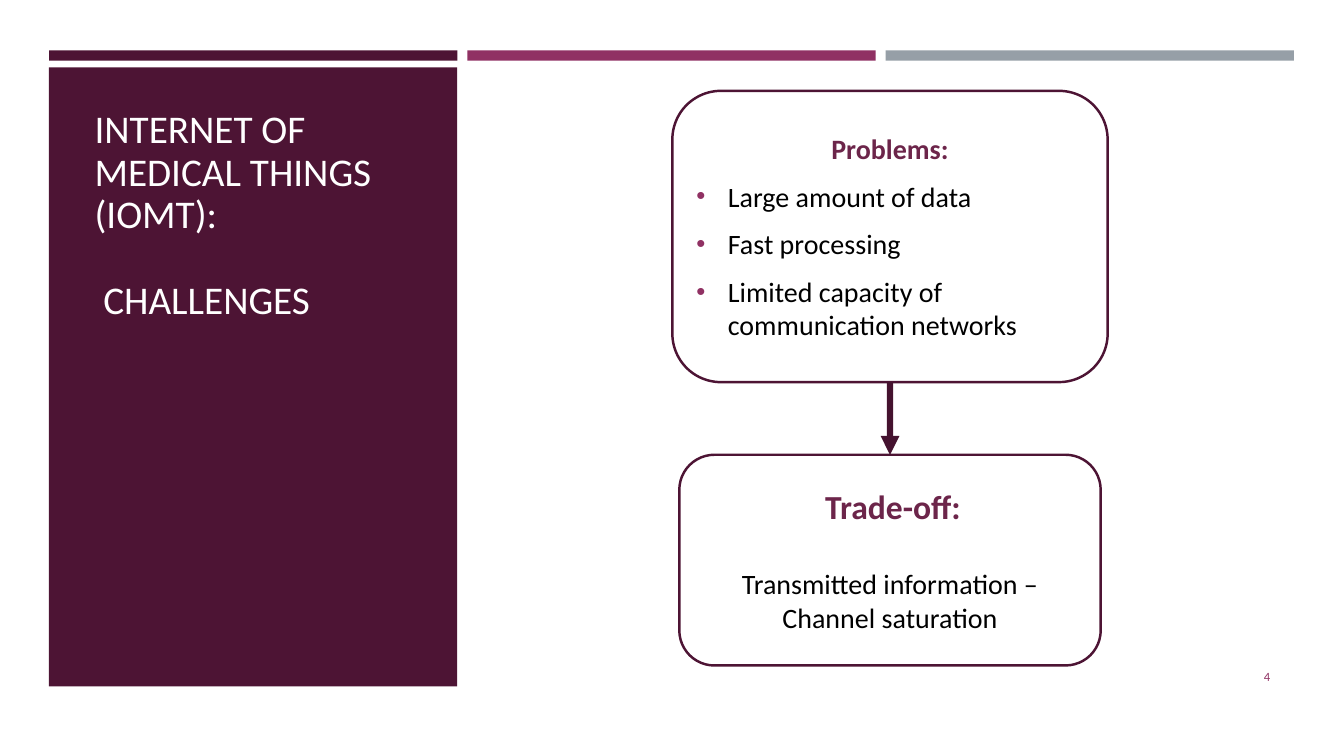
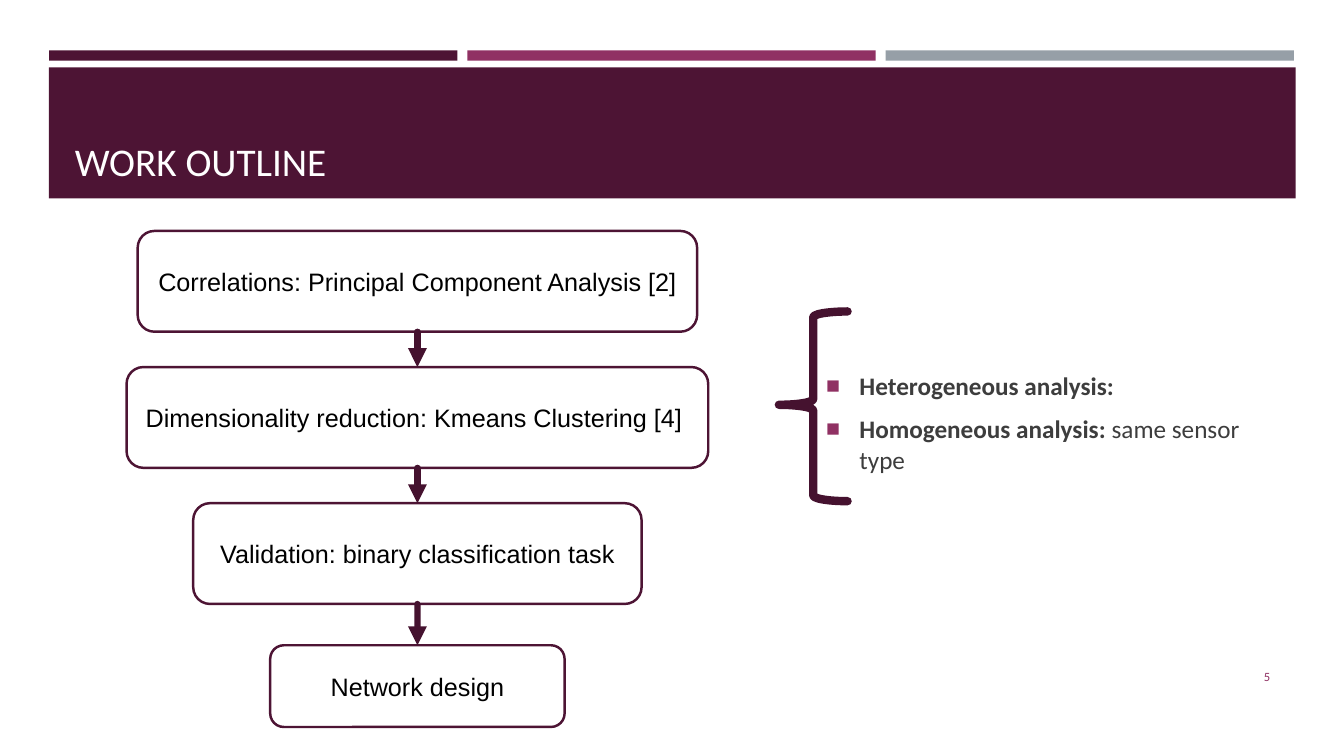
import pptx
import pptx.dml.color
import pptx.enum.shapes
import pptx.enum.text
import pptx.oxml.ns
import pptx.util
from lxml import etree

Cm = pptx.util.Cm
Pt = pptx.util.Pt
SHAPE = pptx.enum.shapes.MSO_SHAPE
ANCHOR = pptx.enum.text.MSO_ANCHOR
ALIGN = pptx.enum.text.PP_ALIGN
qn = pptx.oxml.ns.qn

PLUM, DARK_PLUM, HEADING = "4D1434", "45122F", "6C254A"
MAGENTA, GREY, CHARCOAL = "903163", "969FA7", "3D3D3D"
WHITE, BLACK = "FFFFFF", "000000"
TITLE_ONLY = 5


def rgb(hex_color):
    return pptx.dml.color.RGBColor.from_string(hex_color)


def set_all(target, values):
    for name, value in values.items():
        setattr(target, name, value)


def add_xml(parent, tag, **attributes):
    return etree.SubElement(parent, qn(tag), attributes)


class Deck:
    """Holds the shared style and the slide being drawn."""

    font = "Calibri"
    band_colors = (PLUM, MAGENTA, GREY)
    band_left, band_top, band_pitch = 1.24, 1.27, 10.54
    band_width, band_height = 10.29, 0.26
    panel_left, panel_top = 1.23, 1.7

    def __init__(self):
        self.presentation = pptx.Presentation()
        set_all(self.presentation, {"slide_width": Cm(33.87), "slide_height": Cm(19.05)})
        self.slide = None

    def new_slide(self, number, panel_size, title_lines, title_box):
        """Start a slide with bands, coloured panel, title and number."""
        layout = self.presentation.slide_layouts[TITLE_ONLY]
        self.slide = self.presentation.slides.add_slide(layout)
        for column, color in enumerate(self.band_colors):
            left = self.band_left + column * self.band_pitch
            self.block((left, self.band_top, self.band_width, self.band_height), color)
        self.block((self.panel_left, self.panel_top, *panel_size), PLUM)
        self.title(title_lines, title_box)
        self.text_box((29.34, 16.54, 2.92, 1.02),
                      [{"text": str(number), "align": ALIGN.RIGHT}],
                      ANCHOR.MIDDLE, size=9, color=MAGENTA)

    def title(self, lines, box):
        title = self.slide.shapes.title
        left, top, width, height = (Cm(length) for length in box)
        set_all(title, {"left": left, "top": top, "width": width, "height": height})
        # Bring the title in front of the panel
        title.element.getparent().append(title.element)
        self.fill_text(title.text_frame, lines, ANCHOR.BOTTOM, size=28, color=WHITE,
                       spacing=0.9)

    def block(self, box, fill, kind=SHAPE.RECTANGLE):
        block = self.slide.shapes.add_shape(kind, *(Cm(length) for length in box))
        block.shadow.inherit = False
        block.fill.solid()
        block.fill.fore_color.rgb = rgb(fill)
        block.line.fill.background()
        return block

    def outline(self, shape, color, width):
        shape.line.fill.solid()
        shape.line.fill.fore_color.rgb = rgb(color)
        shape.line.width = Pt(width)

    def card(self, center, top, width, height, paragraphs, **text_style):
        """Draw a rounded, outlined box centred on a vertical axis."""
        card = self.block((center - width / 2, top, width, height), WHITE,
                          SHAPE.ROUNDED_RECTANGLE)
        self.outline(card, PLUM, 1.75)
        self.fill_text(card.text_frame, paragraphs, ANCHOR.MIDDLE, **text_style)
        return card

    def arrow(self, upper, lower, cap="flat"):
        arrow = self.slide.shapes.add_connector(
            pptx.enum.shapes.MSO_CONNECTOR.STRAIGHT, 0, 0, 0, 0)
        arrow.begin_connect(upper, 2)
        arrow.end_connect(lower, 0)
        self.outline(arrow, DARK_PLUM, 4.5)
        properties = arrow.element.spPr
        line = properties.find(qn("a:ln"))
        line.set("cap", cap)
        add_xml(line, "a:tailEnd", type="triangle")
        add_xml(properties, "a:effectLst")

    def brace(self, box):
        brace = self.block(box, WHITE, SHAPE.LEFT_BRACE)
        brace.fill.background()
        brace.adjustments[0], brace.adjustments[1] = 0.083, 0.492
        self.outline(brace, DARK_PLUM, 6)
        brace.element.spPr.find(qn("a:ln")).set("cap", "rnd")

    def text_box(self, box, paragraphs, anchor, **text_style):
        holder = self.slide.shapes.add_textbox(*(Cm(length) for length in box))
        self.fill_text(holder.text_frame, paragraphs, anchor, **text_style)

    def bullet(self, properties, symbol, indent):
        properties.set("indent", str(-Cm(indent)))
        color = add_xml(properties, "a:buClr")
        add_xml(color, "a:srgbClr", val=MAGENTA)
        add_xml(properties, "a:buSzPct", val="92000")
        add_xml(properties, "a:buFont", typeface="Arial")
        add_xml(properties, "a:buChar", char=symbol)

    def fill_text(self, frame, paragraphs, anchor, size=18, color=BLACK, font=None,
                  spacing=1.0):
        """Fill a frame; each paragraph dict has text or runs and may override the style."""
        set_all(frame, {"word_wrap": True, "vertical_anchor": anchor,
                        "auto_size": pptx.enum.text.MSO_AUTO_SIZE.NONE})
        for index, content in enumerate(paragraphs):
            paragraph = frame.paragraphs[0] if index == 0 else frame.add_paragraph()
            properties = paragraph._p.get_or_add_pPr()
            indent = content.get("indent", 0)
            properties.set("marL", str(Cm(indent)))
            if "bullet" in content:
                self.bullet(properties, content["bullet"], indent)
            set_all(paragraph, {
                "alignment": content.get("align", ALIGN.LEFT),
                "line_spacing": spacing,
                "space_before": Pt(content.get("before", 0) if index else 0),
                "space_after": Pt(content.get("after", 0)),
            })
            bold = content.get("bold", False)
            for text, run_bold in content.get("runs", [(content.get("text"), bold)]):
                run = paragraph.add_run()
                run.text = text
                set_all(run.font, {"name": font or self.font, "bold": run_bold,
                                   "size": Pt(content.get("size", size))})
                run.font.color.rgb = rgb(content.get("color", color))


def challenges_slide(deck):
    deck.new_slide(4, (10.29, 15.6), [
        {"text": "INTERNET OF MEDICAL THINGS (IOMT):"},
        {"text": "CHALLENGES", "before": 31, "indent": 0.22},
    ], (2.13, 2.29, 8.18, 5.97))
    axis = 22.43
    heading = {"align": ALIGN.CENTER, "bold": True, "color": HEADING}
    issues = ("Large amount of data", "Fast processing",
              "Limited capacity of communication networks")
    problems = deck.card(axis, 2.29, 10.97, 7.34, [
        {"text": "Problems:", "after": 6, **heading},
        *({"text": issue, "bullet": "•", "indent": 0.79, "before": 4, "after": 6}
          for issue in issues),
    ], size=20)
    trade_off = deck.card(axis, 11.46, 10.62, 5.31, [
        {"text": "Trade-off:", "size": 24, "indent": 0.15, **heading},
        {"text": "Transmitted information – Channel saturation",
         "align": ALIGN.CENTER, "before": 29},
    ], size=20)
    deck.arrow(problems, trade_off)


def outline_slide(deck):
    deck.new_slide(5, (31.42, 3.3), [{"text": "WORK OUTLINE"}], (1.63, 1.96, 30.63, 2.82))
    axis, first_top, pitch = 10.52, 5.82, 3.43
    steps = (
        ("Correlations: Principal Component Analysis [2]", 14.1, 2.54),
        ("Dimensionality reduction: Kmeans Clustering [4] ", 14.66, 2.54),
        ("Validation: binary classification task", 11.3, 2.54),
        ("Network design", 7.42, 2.06),
    )
    cards = [
        deck.card(axis, first_top + row * pitch + (0.15 if row == 3 else 0), width, height,
                  [{"text": step, "align": ALIGN.CENTER}], font="Arial")
        for row, (step, width, height) in enumerate(steps)
    ]
    for upper, lower in zip(cards, cards[1:]):
        deck.arrow(upper, lower, cap="rnd")
    deck.brace((19.63, 7.85, 1.73, 4.78))
    item = {"bullet": "■", "indent": 0.84, "before": 3.6, "after": 6}
    deck.text_box((20.57, 9.2, 11.3, 3), [
        {"runs": [("Heterogeneous analysis:", True)], **item},
        {"runs": [("Homogeneous analysis: ", True), ("same sensor type", False)], **item},
    ], ANCHOR.TOP, color=CHARCOAL)


def main():
    deck = Deck()
    challenges_slide(deck)
    outline_slide(deck)
    deck.presentation.save("out.pptx")


if __name__ == "__main__":
    main()
